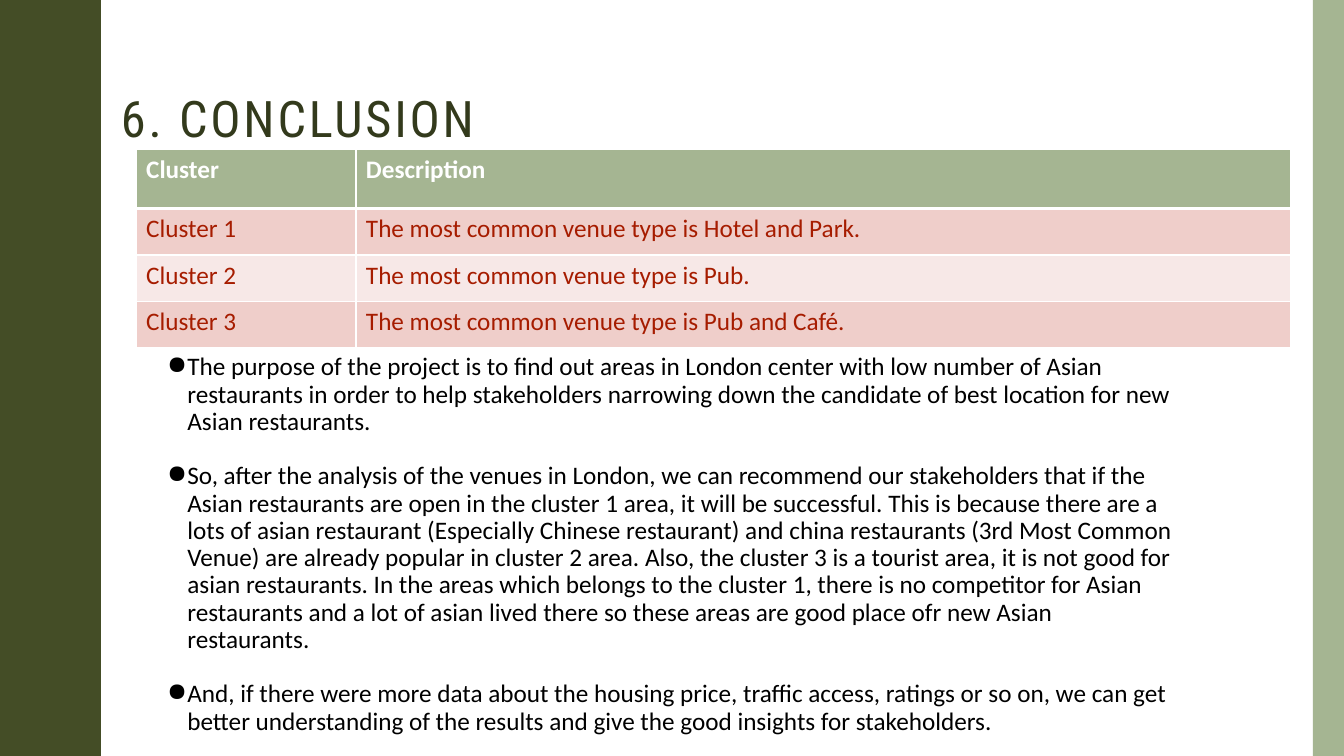
import pptx
import pptx.util
import pptx.dml.color
import pptx.enum.shapes
import pptx.enum.text
import pptx.oxml.ns
import lxml.etree

Inches = pptx.util.Inches
Pt = pptx.util.Pt
RGBColor = pptx.dml.color.RGBColor
qn = pptx.oxml.ns.qn

OLIVE = RGBColor(0x44, 0x4D, 0x26)
SAGE = RGBColor(0xA5, 0xB5, 0x92)
TITLE_GREEN = RGBColor(0x33, 0x3A, 0x1C)
RED = RGBColor(0xA6, 0x1C, 0x00)
PINK = RGBColor(0xEF, 0xCE, 0xCA)
PALE_PINK = RGBColor(0xF7, 0xE8, 0xE7)
WHITE = RGBColor(0xFF, 0xFF, 0xFF)
BLACK = RGBColor(0x00, 0x00, 0x00)


def add_span(para, text, size, font, color, bold=False):
    span = para.add_run()
    span.text = text
    span.font.size = Pt(size)
    span.font.name = font
    span.font.color.rgb = color
    span.font.bold = bold
    return span


def fill_plain(shape, color):
    shape.shadow.inherit = False
    shape.fill.solid()
    shape.fill.fore_color.rgb = color
    shape.line.fill.background()


deck = pptx.Presentation()
deck.slide_width = Inches(13.33)
deck.slide_height = Inches(7.5)
page = deck.slides.add_slide(deck.slide_layouts[5])

half_wave = [
    (0.78, 0), (0.78, 0.07), (0.79, 0.14), (0.8, 0.2), (0.81, 0.25),
    (0.83, 0.29), (0.85, 0.33), (0.87, 0.38), (0.89, 0.42), (0.91, 0.46),
    (0.93, 0.5), (0.95, 0.55), (0.96, 0.61), (0.97, 0.68), (0.97, 0.75),
]
wave = half_wave + [(x, 1.5 - y) for x, y in reversed(half_wave[:-1])]
edge = [(x, y + 1.5 * turn) for turn in range(5) for x, y in wave]
outline = page.shapes.build_freeform(0, 0, scale=Inches(1))
outline.add_line_segments(edge + [(0, 7.5)], close=True)
fill_plain(outline.convert_to_shape(), OLIVE)

side_bar = page.shapes.add_shape(
    pptx.enum.shapes.MSO_SHAPE.RECTANGLE,
    Inches(13.02), Inches(0), Inches(0.31), Inches(7.5))
fill_plain(side_bar, SAGE)

title = page.shapes.title
title.left, title.top = Inches(1.1), Inches(0.39)
title.width, title.height = Inches(11.13), Inches(1.63)
body = page.shapes.add_textbox(
    Inches(1.56), Inches(3.76), Inches(10.21), Inches(3.29))
for box in (title, body):
    box.text_frame.word_wrap = True
    box.text_frame.auto_size = pptx.enum.text.MSO_AUTO_SIZE.NONE
    box.text_frame.vertical_anchor = pptx.enum.text.MSO_ANCHOR.MIDDLE

para = title.text_frame.paragraphs[0]
para.alignment = pptx.enum.text.PP_ALIGN.LEFT
para.line_spacing = 0.9
span = add_span(para, "6. CONCLUSION", 36, "Roboto Condensed", TITLE_GREEN)
span.font._element.set("spc", "200")

conclusions = [
    "The purpose of the project is to find out areas in London center with low "
    "number of Asian restaurants in order to help stakeholders narrowing down "
    "the candidate of best location for new Asian restaurants.",
    "So, after the analysis of the venues in London, we can recommend our "
    "stakeholders that if the Asian restaurants are open in the cluster 1 area, "
    "it will be successful. This is because there are a lots of asian restaurant "
    "(Especially Chinese restaurant) and china restaurants (3rd Most Common "
    "Venue) are already popular in cluster 2 area. Also, the cluster 3 is a "
    "tourist area, it is not good for asian restaurants. In the areas which "
    "belongs to the cluster 1, there is no competitor for Asian restaurants and "
    "a lot of asian lived there so these areas are good place ofr new Asian "
    "restaurants.",
    "And, if there were more data about the housing price, traffic access, "
    "ratings or so on, we can get better understanding of the results and give "
    "the good insights for stakeholders.",
]
for number, text in enumerate(conclusions):
    frame = body.text_frame
    para = frame.add_paragraph() if number else frame.paragraphs[0]
    para.line_spacing = 0.9
    if number < len(conclusions) - 1:
        para.space_after = Pt(19.5)
    settings = para._p.get_or_add_pPr()
    settings.set("marL", str(Inches(0.2)))
    settings.set("indent", str(Inches(-0.24)))
    bullet_color = lxml.etree.SubElement(settings, qn("a:buClr"))
    lxml.etree.SubElement(bullet_color, qn("a:srgbClr"), val=str(BLACK))
    lxml.etree.SubElement(settings, qn("a:buChar"), char="●")
    add_span(para, text, 18, "Calibri", BLACK)

rows = [
    ("Cluster", "Description"),
    ("Cluster 1", "The most common venue type is Hotel and Park."),
    ("Cluster 2", "The most common venue type is Pub."),
    ("Cluster 3", "The most common venue type is Pub and Café."),
]
row_fills = [SAGE, PINK, PALE_PINK, PINK]
table = page.shapes.add_table(
    4, 2, Inches(1.35), Inches(1.48), Inches(11.45), Inches(1.97)).table
for column, width in zip(table.columns, (2.18, 9.27)):
    column.width = Inches(width)
for r, texts in enumerate(rows):
    header = r == 0
    table.rows[r].height = Inches(0.59 if header else 0.46)
    for c, text in enumerate(texts):
        cell = table.cell(r, c)
        settings = cell._tc.get_or_add_tcPr()
        for side in ("lnL", "lnR", "lnT", "lnB"):
            thick = (r, side) in ((0, "lnB"), (1, "lnT"))
            border = lxml.etree.SubElement(
                settings, qn("a:" + side), w=str(Pt(3 if thick else 1)))
            paint = lxml.etree.SubElement(border, qn("a:solidFill"))
            lxml.etree.SubElement(paint, qn("a:srgbClr"), val=str(WHITE))
        cell.fill.solid()
        cell.fill.fore_color.rgb = row_fills[r]
        add_span(cell.text_frame.paragraphs[0], text, 18, "Calibri",
                 WHITE if header else RED, header)

deck.save("out.pptx")
